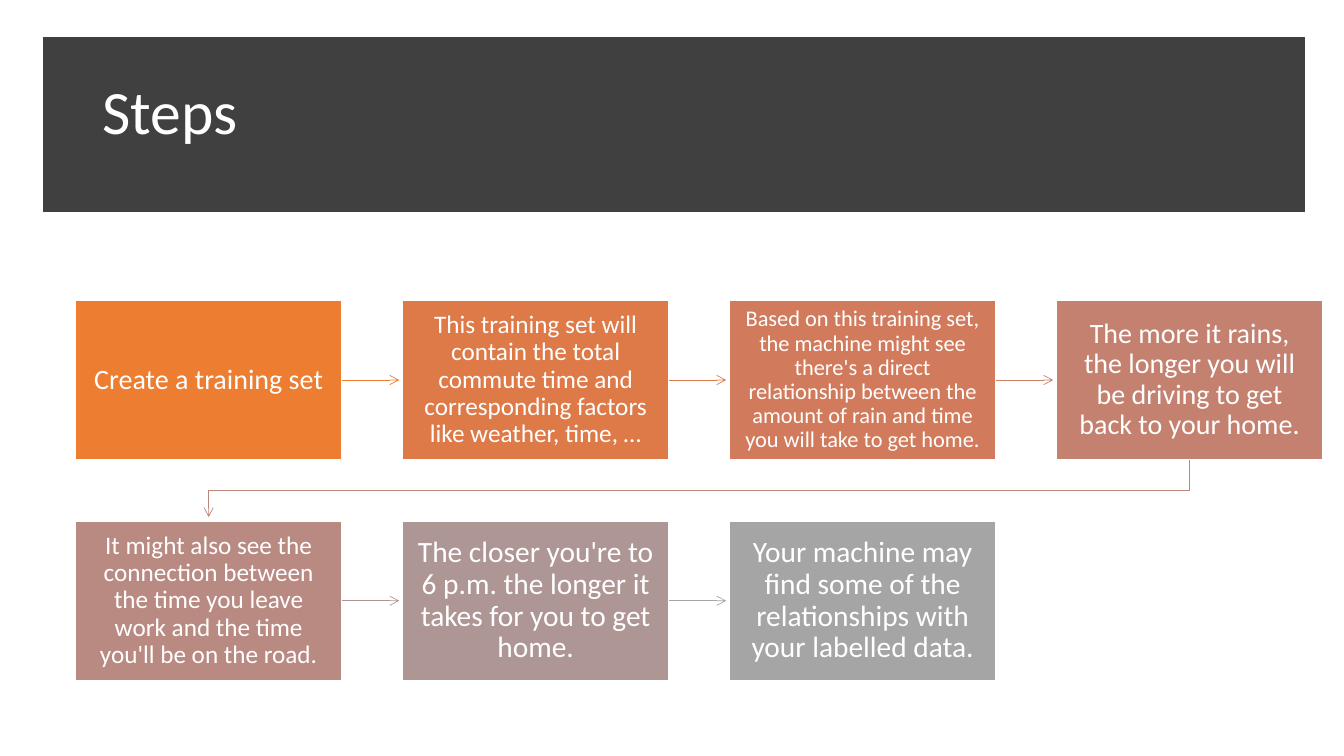
from lxml import etree
from pptx import Presentation
from pptx import util as u
from pptx.dml.color import RGBColor
from pptx.enum import shapes, text
from pptx.oxml import ns

COLORS = {
    "white": "FFFFFF", "band": "404040",
    "box1": "ED7D31", "box2": "DE7A47", "box3": "D17B5C", "box4": "C48170",
    "box5": "B98A82", "box6": "AE9694", "box7": "A5A5A5",
    "arrow1": "ED7D31", "arrow2": "DC7A4B", "arrow3": "CC7D64",
    "arrow4": "BD867B", "arrow5": "B09391", "arrow6": "A5A5A5",
}
STEPS = [
    ("Create a training set", 20),
    ("This training set will contain the total commute time and "
     "corresponding factors like weather, time, …", 18),
    ("Based on this training set, the machine might see there's a direct "
     "relationship between the amount of rain and time you will take to get home.", 16),
    ("The more it rains, the longer you will be driving to get back to your home.", 20),
    ("It might also see the connection between the time you leave work "
     "and the time you'll be on the road.", 18),
    ("The closer you're to 6 p.m. the longer it takes for you to get home.", 21),
    ("Your machine may find some of the relationships with your labelled data.", 21),
]
COLS = 4
LEFT, TOP = 0.75, 2.98
COL_PITCH, ROW_PITCH = 3.243, 2.19
BOX_W, BOX_H = 2.64, 1.58
REACH = 0.57


def rgb(name):
    return RGBColor.from_string(COLORS[name])


def write(sp, content, size, color="white", font="Calibri",
          align=text.PP_ALIGN.LEFT, inset=(0.1, 0.05)):
    tf = sp.text_frame
    tf.word_wrap = True
    tf.vertical_anchor = text.MSO_ANCHOR.MIDDLE
    tf.margin_left = tf.margin_right = u.Inches(inset[0])
    tf.margin_top = tf.margin_bottom = u.Inches(inset[1])
    p = tf.paragraphs[0]
    p.alignment = align
    p.line_spacing = 0.9
    r = p.add_run()
    r.text = content
    r.font.size = u.Pt(size)
    r.font.name = font
    r.font.color.rgb = rgb(color)


class Flow:
    """Draws a titled step flow on a grid of columns and rows."""

    def __init__(self, prs):
        self.s = prs.slides.add_slide(prs.slide_layouts[6])

    def cell(self, i):
        row, col = divmod(i, COLS)
        return LEFT + col * COL_PITCH, TOP + row * ROW_PITCH

    def rect(self, x, y, w, h, fill, line, width):
        sp = self.s.shapes.add_shape(shapes.MSO_SHAPE.RECTANGLE,
                                     *map(u.Inches, (x, y, w, h)))
        sp.shadow.inherit = False
        sp.fill.solid()
        sp.fill.fore_color.rgb = rgb(fill)
        sp.line.color.rgb = rgb(line)
        sp.line.width = u.Pt(width)
        return sp

    def title(self, content):
        self.rect(0.43, 0.37, 12.51, 1.73, "band", "band", 1)
        sp = self.s.shapes.add_textbox(*map(u.Inches, (0.92, 0.51, 11.5, 1.25)))
        write(sp, content, 44)

    def step(self, i, content, size):
        sp = self.rect(*self.cell(i), BOX_W, BOX_H, f"box{i + 1}", "white", 1)
        write(sp, content, size, align=text.PP_ALIGN.CENTER, inset=(0.13, 0.14))

    def arrow(self, i):
        x, y = self.cell(i)
        if (i + 1) % COLS:
            start, mid = x + BOX_W, y + BOX_H / 2
            sp = self.s.shapes.add_connector(
                shapes.MSO_CONNECTOR.STRAIGHT,
                *map(u.Inches, (start, mid, start + REACH, mid)))
            etree.SubElement(sp._element.spPr, ns.qn("a:effectLst"))
        else:
            sp = self.wrap(x + BOX_W / 2, y + BOX_H, LEFT + BOX_W / 2)
        sp.line.color.rgb = rgb(f"arrow{i + 1}")
        sp.line.width = u.Pt(0.5)
        etree.SubElement(sp.line._get_or_add_ln(), ns.qn("a:tailEnd"), type="arrow")

    def wrap(self, x, y, end):
        turn = y + (ROW_PITCH - BOX_H) / 2
        points = [(x, y), (x, turn), (end, turn), (end, y + REACH)]
        points = [(u.Inches(px), u.Inches(py)) for px, py in points]
        outline = self.s.shapes.build_freeform(*points[0])
        outline.add_line_segments(points[1:], close=False)
        sp = outline.convert_to_shape()
        sp.shadow.inherit = False
        sp.fill.background()
        return sp


def main():
    prs = Presentation()
    prs.slide_width, prs.slide_height = u.Inches(13.33), u.Inches(7.5)
    flow = Flow(prs)
    flow.title("Steps")
    for i, (content, size) in enumerate(STEPS):
        if i < len(STEPS) - 1:
            flow.arrow(i)
        flow.step(i, content, size)
    prs.save("out.pptx")


if __name__ == "__main__":
    main()
